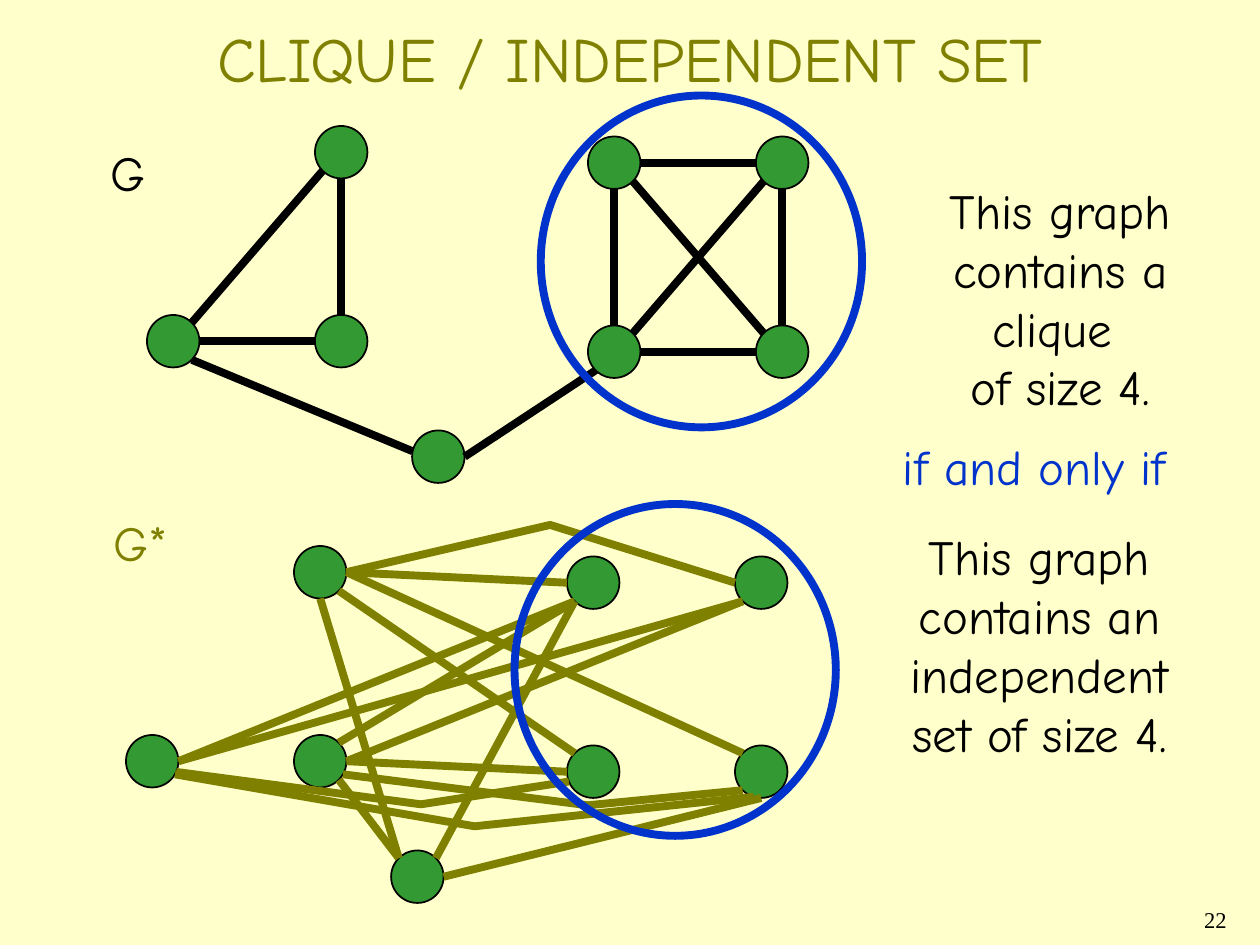
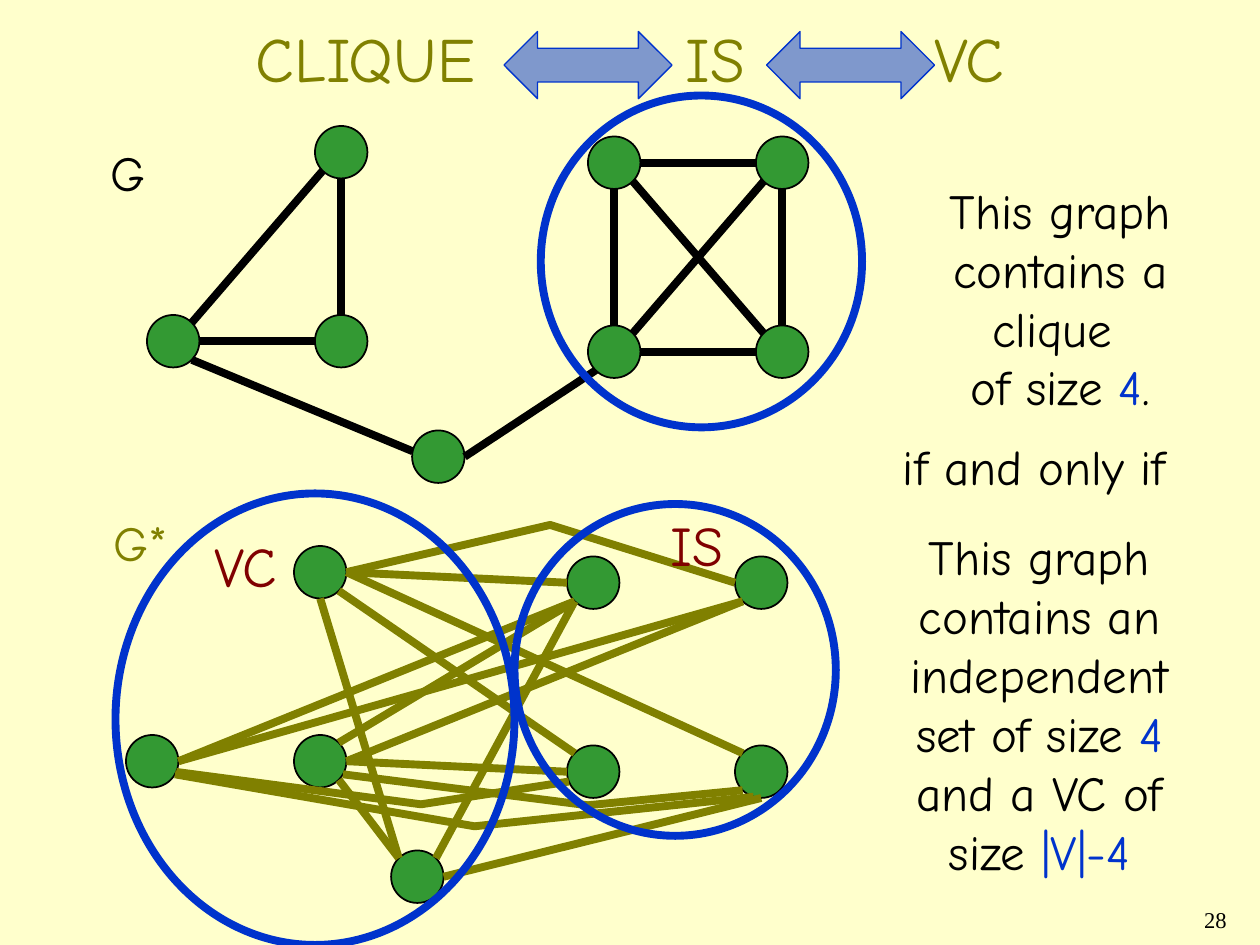
from dataclasses import dataclass
from math import cos, radians, sin
from typing import NamedTuple

from lxml import etree
from pptx import Presentation
from pptx.dml.color import RGBColor
from pptx.enum.shapes import MSO_CONNECTOR, MSO_SHAPE
from pptx.enum.text import MSO_ANCHOR, MSO_AUTO_SIZE, PP_ALIGN
from pptx.oxml.ns import qn
from pptx.util import Inches, Pt

OVAL, ARROW = MSO_SHAPE.OVAL, MSO_SHAPE.LEFT_RIGHT_ARROW
STRAIGHT = MSO_CONNECTOR.STRAIGHT
LEFT, CENTER, RIGHT = PP_ALIGN.LEFT, PP_ALIGN.CENTER, PP_ALIGN.RIGHT
TOP, MIDDLE = MSO_ANCHOR.TOP, MSO_ANCHOR.MIDDLE
GROW = MSO_AUTO_SIZE.SHAPE_TO_FIT_TEXT

CREAM, BLACK, GREEN = "FFFFCC", "000000", "339933"
OLIVE, BLUE, MAROON = "808000", "0033CC", "800000"
COMIC, TIMES = "Comic Neue", "Times New Roman"

# The slide is a grid of 120 columns by 90 rows, 12 to the inch.
COLUMNS, ROWS, CELL = 120, 90, Inches(1) / 12
RADIUS = 2.5
HEAVY = 4.5

# Clockwise angles on the rim of a node
E, SE, S, SW, W, NW, N, NE = range(0, 360, 45)


class Box(NamedTuple):
    left: float
    top: float
    width: float
    height: float


class Point(NamedTuple):
    x: float
    y: float


class Edge(NamedTuple):
    start: str
    start_angle: float
    end: str
    end_angle: float
    bend: Point | None = None


@dataclass(frozen=True)
class Label:
    box: Box
    runs: tuple[tuple[str, str], ...]
    size: float = 28
    font: str = COMIC
    align: PP_ALIGN = LEFT
    inset: float = 0.3
    wrap: bool = False
    grow: bool = True
    before: float = 0
    spacing: float = 1
    anchor: MSO_ANCHOR = TOP
    tabs: tuple[float, ...] = ()


NODES = {
    "nw": Point(58.5, 15.5), "sw": Point(58.5, 33.5),
    "se": Point(74.5, 33.5), "ne": Point(74.5, 15.5),
    "south": Point(41.75, 43.5), "west": Point(16.5, 32.5),
    "corner": Point(32.5, 32.5), "apex": Point(32.5, 14.5),
}
GRAPH_SHIFT, COMPLEMENT_SHIFT = Point(0, 0), Point(-2, 40)

GRAPH_EDGES = [
    Edge("nw", E, "ne", W), Edge("nw", S, "sw", N),
    Edge("ne", S, "se", N), Edge("sw", E, "se", W),
    Edge("ne", SW, "sw", NE), Edge("nw", SE, "se", NW),
    Edge("south", W + 12, "west", SE), Edge("apex", S, "corner", N),
    Edge("west", E, "corner", W), Edge("apex", SW, "west", NE),
    Edge("south", E, "sw", SW),
]
COMPLEMENT_EDGES = [
    Edge("corner", E, "sw", W), Edge("apex", E, "nw", W),
    Edge("south", NE, "nw", SW), Edge("corner", NE, "nw", SW),
    Edge("west", E, "nw", SW), Edge("apex", SE, "sw", NW),
    Edge("apex", S, "south", NW), Edge("corner", E, "ne", SW),
    Edge("corner", SE, "south", NW), Edge("west", E, "ne", SW),
    Edge("apex", E, "se", NW),
    Edge("apex", E, "ne", W, Point(52.4, 50)),
    Edge("west", 24, "sw", W - 22, Point(40.1, 76.6)),
    Edge("west", 30, "se", 107, Point(45.2, 78.7)),
    Edge("corner", 30, "se", SW, Point(56, 76.7)),
    Edge("south", E, "se", S),
]

CLIQUE_RING = Box(51.5, 9.1, 30.6, 31.6)
INDEPENDENT_RING = Box(49, 48, 30.6, 31.6)
COVER_RING = Box(11, 47, 38, 43)
ARROWS = [Box(left, 3, 16, 6.4) for left in (48, 73)]


def color(hex_code: str) -> RGBColor:
    return RGBColor.from_string(hex_code)


def emu(cells: float) -> int:
    return round(cells * CELL)


def rim(node: str, angle: float, shift: Point) -> Point:
    center = NODES[node]
    return Point(center.x + shift.x + RADIUS * cos(radians(angle)),
                 center.y + shift.y + RADIUS * sin(radians(angle)))


def add_figure(s, kind: MSO_SHAPE, box: Box, fill: str | None, line: str, width: float):
    sp = s.shapes.add_shape(kind, *map(emu, box))
    sp.shadow.inherit = False
    if fill:
        sp.fill.solid()
        sp.fill.fore_color.rgb = color(fill)
    else:
        sp.fill.background()
    sp.line.color.rgb = color(line)
    sp.line.width = Pt(width)
    return sp


def add_ring(s, box: Box) -> None:
    add_figure(s, OVAL, box, None, BLUE, HEAVY)


def add_arrow(s, box: Box) -> None:
    sp = add_figure(s, ARROW, box, BLUE, BLUE, 0.75)
    fill = sp.element.spPr.find(qn("a:solidFill"))
    etree.SubElement(fill[0], qn("a:alpha"), val="50000")


def add_edge(s, edge: Edge, shift: Point, line: str) -> None:
    start = [emu(v) for v in rim(edge.start, edge.start_angle, shift)]
    end = [emu(v) for v in rim(edge.end, edge.end_angle, shift)]
    if edge.bend:
        builder = s.shapes.build_freeform(*start)
        builder.add_line_segments([[emu(v) for v in edge.bend], end], close=False)
        sp = builder.convert_to_shape()
        sp.fill.background()
        sp.shadow.inherit = False
    else:
        sp = s.shapes.add_connector(STRAIGHT, *start, *end)
    sp.line.color.rgb = color(line)
    sp.line.width = Pt(HEAVY)
    if not edge.bend:
        etree.SubElement(sp.element.spPr, qn("a:effectLst"))


def add_graph(s, edges: list[Edge], shift: Point, line: str) -> None:
    for center in NODES.values():
        box = Box(center.x + shift.x - RADIUS, center.y + shift.y - RADIUS,
                  2 * RADIUS, 2 * RADIUS)
        add_figure(s, OVAL, box, GREEN, BLACK, 1)
    for edge in edges:
        add_edge(s, edge, shift, line)


def add_label(s, label: Label) -> None:
    tf = s.shapes.add_textbox(*map(emu, label.box)).text_frame
    tf.margin_left = tf.margin_right = Inches(label.inset)
    tf.margin_top = tf.margin_bottom = Inches(0.05)
    tf.word_wrap = label.wrap
    tf.vertical_anchor = label.anchor
    if label.grow:
        tf.auto_size = GROW
    p = tf.paragraphs[0]
    p.alignment = label.align
    p.space_before = Pt(label.before)
    p.line_spacing = label.spacing
    for text, hex_code in label.runs:
        done = len(p.runs)
        if done:
            p.add_run().text = text
        else:
            p.text = text
        for r in p.runs[done:]:
            r.font.name = label.font
            r.font.size = Pt(label.size)
            r.font.color.rgb = color(hex_code)
    if label.tabs:
        tab_list = etree.SubElement(p._p.get_or_add_pPr(), qn("a:tabLst"))
        for stop in label.tabs:
            etree.SubElement(tab_list, qn("a:tab"), pos=str(emu(stop)), algn="l")


def title(text: str, align: PP_ALIGN = CENTER, tabs: tuple[float, ...] = ()) -> Label:
    return Label(Box(9, -2, 102, 15), ((text, OLIVE),), 36, align=align, inset=0.1,
                 wrap=True, grow=False, anchor=MIDDLE, tabs=tabs)


def claim(box: Box, *runs: tuple[str, str]) -> Label:
    return Label(box, runs, align=CENTER, wrap=True, before=17.5)


def clique_claim(*runs: tuple[str, str]) -> Label:
    return claim(Box(83, 16.6, 36, 23.6), ("This graph contains a clique \vof size ", BLACK), *runs)


def independent_claim(height: float, *runs: tuple[str, str]) -> Label:
    return claim(Box(81, 49.6, 36, height),
                 ("This graph contains an independent set of size ", BLACK), *runs)


def set_name(text: str, box: Box) -> Label:
    return Label(box, ((text, MAROON),), 32, inset=0.1, before=8)


def add_reduction_slide(prs, number: int, link_color: str, labels: list[Label]):
    """Draw both graphs, their names and rings, then the slide's own labels."""
    s = prs.slides.add_slide(prs.slide_layouts[6])
    s.background.fill.solid()
    s.background.fill.fore_color.rgb = color(CREAM)
    add_label(s, Label(Box(93, 86, 25, 4), ((str(number), BLACK),), 12.9, TIMES, RIGHT,
                       0.1, wrap=True, grow=False, spacing=0.9))
    add_graph(s, COMPLEMENT_EDGES, COMPLEMENT_SHIFT, OLIVE)
    add_graph(s, GRAPH_EDGES, GRAPH_SHIFT, BLACK)
    add_label(s, Label(Box(7.2, 48.2, 12.4, 6.8), (("G*", OLIVE),)))
    add_label(s, Label(Box(6.9, 13, 10.6, 6.8), (("G", BLACK),)))
    add_ring(s, CLIQUE_RING)
    add_ring(s, INDEPENDENT_RING)
    add_label(s, Label(Box(82.4, 41, 32.2, 6.8), (("if and only if", link_color),)))
    for label in labels:
        add_label(s, label)
    return s


def main() -> None:
    prs = Presentation()
    prs.slide_width, prs.slide_height = emu(COLUMNS), emu(ROWS)

    add_reduction_slide(prs, 22, BLUE, [
        title("CLIQUE / INDEPENDENT SET"),
        clique_claim(("4.", BLACK)),
        independent_claim(23.6, ("4.", BLACK)),
    ])

    s = add_reduction_slide(prs, 28, BLACK, [
        title("\tCLIQUE\tIS\tVC", LEFT, (14.2, 55.1, 78.8)),
        clique_claim(("4", BLUE), (".", BLACK)),
        independent_claim(34.8, ("4", BLUE), (" and a VC of size ", BLACK), ("|V|-4", BLUE)),
        set_name("VC", Box(19.3, 50, 8.6, 7.7)),
        set_name("IS", Box(62.7, 48, 8, 7.7)),
    ])
    add_ring(s, COVER_RING)
    for box in ARROWS:
        add_arrow(s, box)

    prs.save("out.pptx")


if __name__ == "__main__":
    main()
